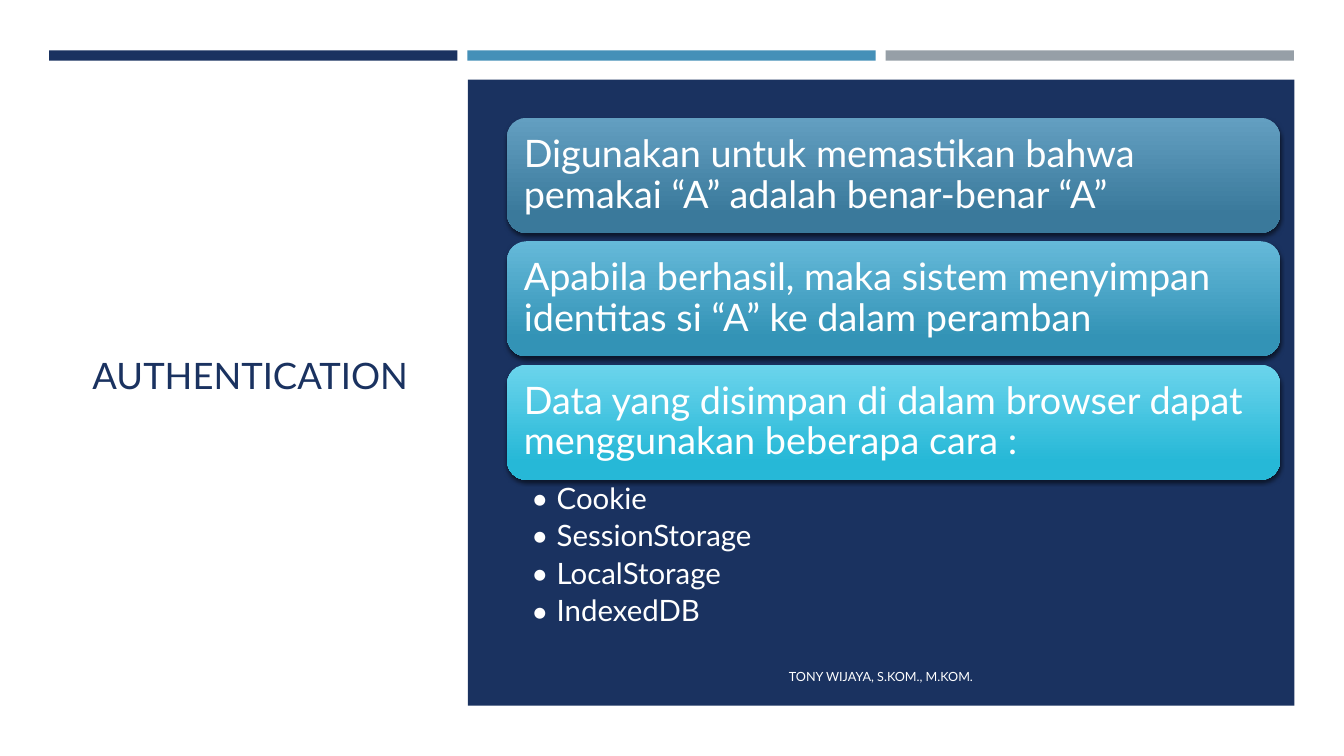
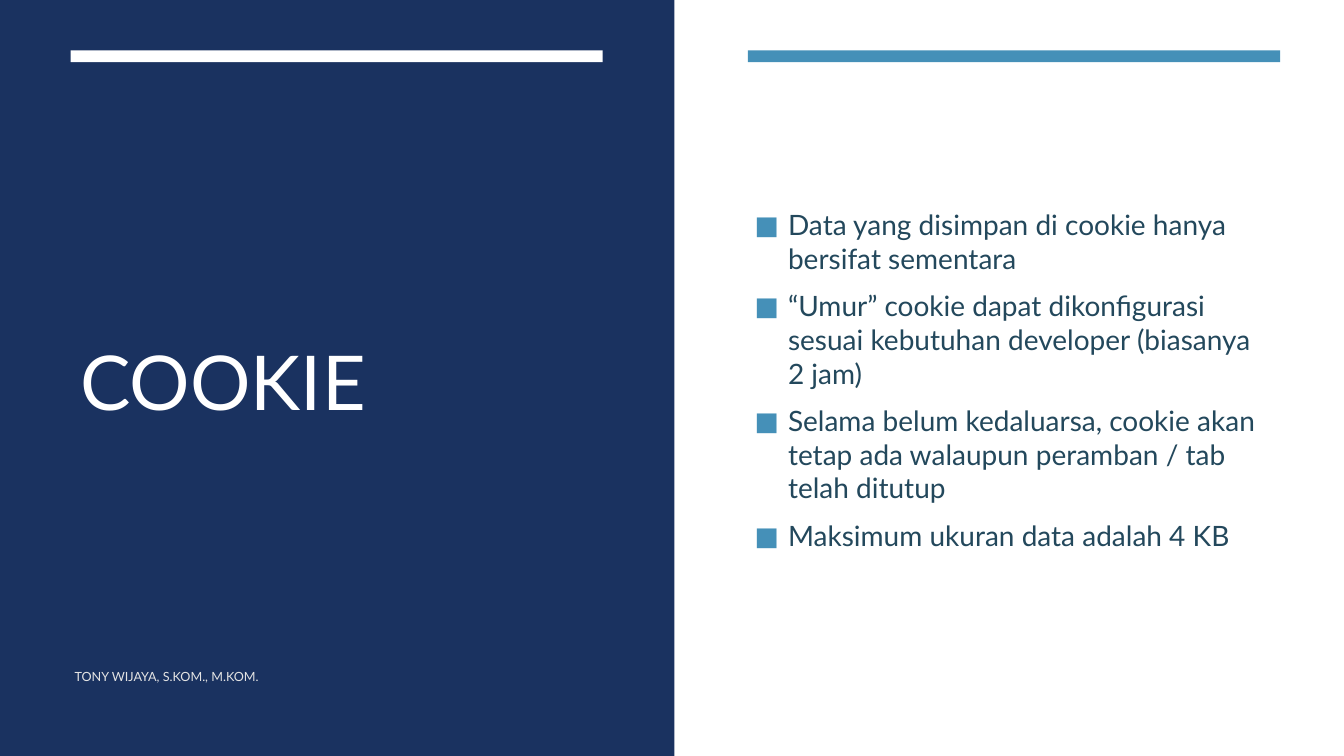
import pptx
import pptx.dml.color
import pptx.enum.shapes
import pptx.enum.text
import pptx.oxml
import pptx.oxml.ns
import pptx.util
from lxml import etree

Cm = pptx.util.Cm
Pt = pptx.util.Pt
RGBColor = pptx.dml.color.RGBColor
SHAPE = pptx.enum.shapes.MSO_SHAPE
ANCHOR = pptx.enum.text.MSO_ANCHOR
ALIGN = pptx.enum.text.PP_ALIGN
qn = pptx.oxml.ns.qn

NAVY = RGBColor(0x1A, 0x32, 0x60)
BLUE = RGBColor(0x45, 0x90, 0xB8)
GREY = RGBColor(0x96, 0x9F, 0xA7)
WHITE = RGBColor(0xFF, 0xFF, 0xFF)
PALE = RGBColor(0xE4, 0xE4, 0xE4)
TEAL = RGBColor(0x23, 0x48, 0x5C)
CARD_GRADIENTS = [
    (RGBColor(0x63, 0x9F, 0xC1), RGBColor(0x3A, 0x79, 0x9B)),
    (RGBColor(0x65, 0xB9, 0xD9), RGBColor(0x33, 0x93, 0xB6)),
    (RGBColor(0x6B, 0xD4, 0xEC), RGBColor(0x26, 0xB8, 0xD7)),
]

FONT = "Lato"
FOOTER = "TONY WIJAYA, S.KOM., M.KOM."
SLIDE_WIDTH, SLIDE_HEIGHT = 33.87, 19.05
BAND_TOP = 1.27

PURPOSES = [
    "Digunakan untuk memastikan bahwa pemakai “A” adalah benar-benar “A”",
    "Apabila berhasil, maka sistem menyimpan identitas si “A” ke dalam peramban",
    "Data yang disimpan di dalam browser dapat menggunakan beberapa cara :",
]
STORAGES = ["Cookie", "SessionStorage", "LocalStorage", "IndexedDB"]
COOKIE_FACTS = [
    "Data yang disimpan di cookie hanya bersifat sementara",
    "“Umur” cookie dapat dikonfigurasi sesuai kebutuhan developer (biasanya 2 jam)",
    "Selama belum kedaluarsa, cookie akan tetap ada walaupun peramban / tab telah ditutup",
    "Maksimum ukuran data adalah 4 KB",
]


def apply_format(target, values):
    for attribute, value in values.items():
        setattr(target, attribute, value)


def margins(left, top, right, bottom):
    return {"margin_left": Cm(left), "margin_top": Cm(top),
            "margin_right": Cm(right), "margin_bottom": Cm(bottom)}


def write(shape, lines, size, color, frame_format=None, paragraph_format=None):
    frame = shape.text_frame
    apply_format(frame, {"word_wrap": True, "vertical_anchor": ANCHOR.MIDDLE,
                         **(frame_format or {})})
    for index, line in enumerate(lines):
        paragraph = frame.add_paragraph() if index else frame.paragraphs[0]
        apply_format(paragraph, {"alignment": ALIGN.LEFT, **(paragraph_format or {})})
        run = paragraph.add_run()
        run.text = line
        apply_format(run.font, {"name": FONT, "size": Pt(size)})
        run.font.color.rgb = color


def add_text(slide, box, lines, size, color, **formats):
    textbox = slide.shapes.add_textbox(*map(Cm, box))
    write(textbox, lines, size, color, **formats)
    return textbox


def add_bullets(textbox, mark, indent, color, percent):
    for paragraph in textbox.text_frame.paragraphs:
        properties = paragraph._p.get_or_add_pPr()
        properties.set("marL", str(Cm(indent)))
        properties.set("indent", str(-Cm(indent)))
        tint = etree.SubElement(properties, qn("a:buClr"))
        etree.SubElement(tint, qn("a:srgbClr"), val=str(color))
        etree.SubElement(properties, qn("a:buSzPct"), val=str(percent * 1000))
        etree.SubElement(properties, qn("a:buFont"), typeface=FONT)
        etree.SubElement(properties, qn("a:buChar"), char=mark)


def add_plain_shape(slide, kind, box):
    shape = slide.shapes.add_shape(kind, *map(Cm, box))
    shape.shadow.inherit = False
    shape.line.fill.background()
    return shape


def add_block(slide, box, color):
    block = add_plain_shape(slide, SHAPE.RECTANGLE, box)
    block.fill.solid()
    block.fill.fore_color.rgb = color


def add_bands(slide, left, pitch, width, height, colors):
    for index, color in enumerate(colors):
        add_block(slide, (left + index * pitch, BAND_TOP, width, height), color)


def add_title(slide, box, text, size, color):
    add_text(slide, box, [text], size, color)


def add_footer(slide, left, width, color, alignment):
    add_text(slide, (left, 16.54, width, 1.02), [FOOTER], 9, color,
             paragraph_format={"alignment": alignment, "space_after": Pt(6)})


def add_drop_shadow(shape):
    effects = shape._element.spPr.find(qn("a:effectLst"))
    shadow = etree.SubElement(effects, qn("a:outerShdw"), blurRad=str(Pt(3)),
                              dist=str(Pt(2)), dir="5400000", rotWithShape="0")
    color = etree.SubElement(shadow, qn("a:srgbClr"), val="000000")
    etree.SubElement(color, qn("a:alpha"), val="55000")


def add_card(slide, box, text, gradient):
    card = add_plain_shape(slide, SHAPE.ROUNDED_RECTANGLE, box)
    card.fill.gradient()
    card.fill.gradient_angle = 270
    for stop, color, position in zip(card.fill.gradient_stops, gradient, (0, 0.84)):
        stop.color.rgb = color
        stop.position = position
    add_drop_shadow(card)
    write(card, [text], 27, WHITE, frame_format=margins(0.28, 0.28, 0.28, 0.28),
          paragraph_format={"line_spacing": 0.9})


def build_authentication(slide):
    add_title(slide, (2.08, 2.9, 8.48, 13.08), "AUTHENTICATION", 26, NAVY)
    add_bands(slide, 1.24, 10.54, 10.29, 0.26, [NAVY, BLUE, GREY])
    add_block(slide, (11.79, 2.01, 20.83, 15.77), NAVY)
    add_footer(slide, 12.55, 19.3, WHITE, ALIGN.CENTER)

    left, top, width, height, pitch = 12.78, 2.97, 19.48, 2.9, 3.11
    for index, (purpose, gradient) in enumerate(zip(PURPOSES, CARD_GRADIENTS)):
        add_card(slide, (left, top + index * pitch, width, height), purpose, gradient)
    storages = add_text(
        slide, (left, 12.09, width, 3.81), STORAGES, 21, WHITE,
        frame_format={"vertical_anchor": ANCHOR.TOP, **margins(0.61, 0.1, 0.53, 0.1)},
        paragraph_format={"line_spacing": 0.9, "space_after": Pt(4.2)})
    add_bullets(storages, "•", 0.64, WHITE, 100)


def build_cookie(slide):
    add_block(slide, (0, 0, 17, SLIDE_HEIGHT), NAVY)
    add_title(slide, (1.78, 2.87, 13.41, 13.41), "COOKIE", 54, WHITE)
    add_bands(slide, 1.78, 17.07, 13.41, 0.3, [WHITE, BLUE])
    facts = add_text(
        slide, (18.77, 2.87, 13.49, 13.41), COOKIE_FACTS, 20, TEAL,
        paragraph_format={"space_before": Pt(4), "space_after": Pt(6)})
    add_bullets(facts, "■", 0.84, BLUE, 92)
    add_footer(slide, 1.63, 14.99, PALE, ALIGN.LEFT)


def main():
    deck = pptx.Presentation()
    apply_format(deck, {"slide_width": Cm(SLIDE_WIDTH), "slide_height": Cm(SLIDE_HEIGHT)})
    blank = deck.slide_layouts[6]
    for build in (build_authentication, build_cookie):
        slide = deck.slides.add_slide(blank)
        slide.background.fill.solid()
        slide.background.fill.fore_color.rgb = WHITE
        build(slide)
    deck.save("out.pptx")


if __name__ == "__main__":
    main()
